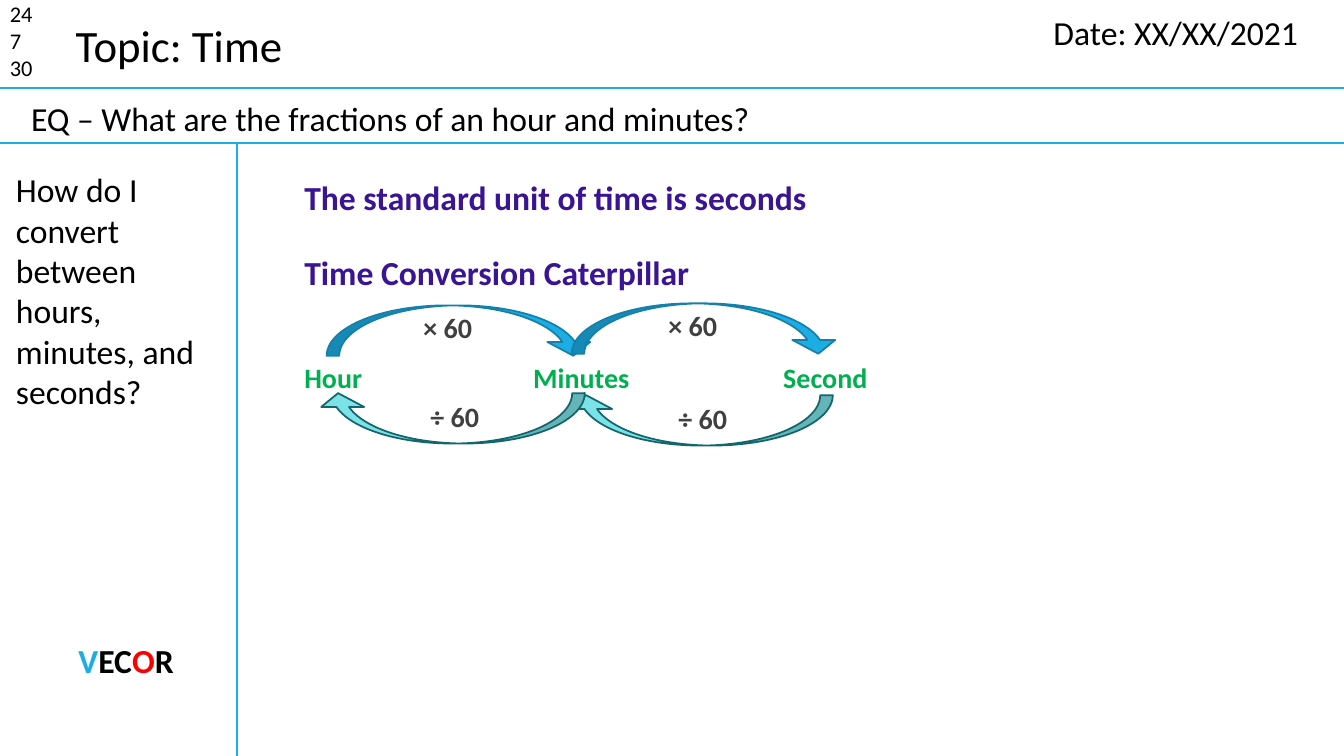
from lxml import etree
from pptx import Presentation
from pptx import util as u
from pptx.dml.color import RGBColor
from pptx.enum import shapes, text
from pptx.oxml.ns import qn

COLORS = {"black": "000000", "blue": "1CADE4", "blue_edge": "1580A9", "teal": "7DE2E7",
          "teal_edge": "13676C", "red": "FF0000", "purple": "3A1493", "green": "00B050",
          "grey": "404040"}
WIDTH, HEIGHT = 13.33, 7.5
HEADER_BOTTOM, QUESTION_BOTTOM, MARGIN_RIGHT = 0.87, 1.42, 2.35
ARROW_WIDTH, ARROW_HEIGHT = 2.66, 0.5


def color(name):
    """Return the named colour."""
    return RGBColor.from_string(COLORS[name])


def set_values(target, **values):
    """Set each given attribute on the target."""
    for name, value in values.items():
        setattr(target, name, value)


def write(shape, paragraphs, size, wrap=True, align=text.PP_ALIGN.LEFT, bold=False):
    """Fill a shape with paragraphs, each a list of (text, colour) runs."""
    frame = shape.text_frame
    set_values(frame, word_wrap=wrap, auto_size=text.MSO_AUTO_SIZE.SHAPE_TO_FIT_TEXT,
               vertical_anchor=text.MSO_ANCHOR.TOP)
    for index, runs in enumerate(paragraphs):
        paragraph = frame.add_paragraph() if index else frame.paragraphs[0]
        paragraph.alignment = align
        for content, shade in runs:
            run = paragraph.add_run()
            run.text = content
            set_values(run.font, name="Calibri", size=u.Pt(size), bold=bold)
            run.font.color.rgb = color(shade)
    return frame.paragraphs


def add_text(parent, box, paragraphs, size, **style):
    """Add a text box and return its paragraphs."""
    shape = parent.shapes.add_textbox(*(u.Inches(length) for length in box))
    return write(shape, paragraphs, size, **style)


def add_rule(slide, *ends):
    """Draw a blue ruling line between two points."""
    line = slide.shapes.add_connector(shapes.MSO_CONNECTOR.STRAIGHT,
                                      *(u.Inches(end) for end in ends))
    line.line.color.rgb = color("blue")
    line.line.width = u.Pt(1.5)
    etree.SubElement(line._element.spPr, qn("a:effectLst"))


def add_rules(slide):
    """Divide the page into header, question, margin and notes."""
    for height in (HEADER_BOTTOM, QUESTION_BOTTOM):
        add_rule(slide, 0, height, WIDTH, height)
    add_rule(slide, MARGIN_RIGHT, QUESTION_BOTTOM, MARGIN_RIGHT, HEIGHT)


def add_header(slide):
    """Place the numbers, topic, date and essential question."""
    title = slide.shapes.title
    set_values(title, left=u.Inches(0.65), top=u.Inches(0.13),
               width=u.Inches(2.27), height=u.Inches(0.64))
    write(title, [[("Topic: Time", "black")]], 32, wrap=False)
    numbers = [[(number, "black")] for number in ("24", "7", "30")]
    add_text(slide, (0, -0.05, 0.63, 0.91), numbers, 16)
    add_text(slide, (10.35, 0.07, 2.64, 0.5), [[("Date: XX/XX/2021", "black")]], 24)
    question = "EQ – What are the fractions of an hour and minutes?"
    add_text(slide, (0.21, HEADER_BOTTOM + 0.05, 8.52, 0.5), [[(question, "black")]], 24)


def add_margin(slide):
    """Place the guiding question and the strategy label in the left column."""
    question = "How do I convert between hours, minutes, and seconds?"
    add_text(slide, (0.06, QUESTION_BOTTOM + 0.21, 2.09, 2.52), [[(question, "black")]], 24)
    letters = [("V", "blue"), ("EC", "black"), ("O", "red"), ("R", "black")]
    add_text(slide, (0.14, 6.3, 2.22, 0.5), [letters], 24,
             align=text.PP_ALIGN.CENTER, bold=True)


def add_notes_column(slide, left, top):
    """Write the headings and the tabbed row of time units."""
    lines = [[("The standard unit of time is seconds", "purple")],
             [("Time Conversion Caterpillar", "purple")],
             [("Hour\tMinutes\tSecond", "green")]]
    heading, subheading, units = add_text(slide, (left, top, 8.33, 2.2), lines, 24, bold=True)
    subheading.space_before = u.Pt(24.4)
    units.space_before = u.Pt(48.8)
    units.runs[0].font.size = u.Pt(20)
    tabs = etree.SubElement(units._p.get_or_add_pPr(), qn("a:tabLst"))
    for position in (2.27, 4.75):
        etree.SubElement(tabs, qn("a:tab"), pos=str(u.Inches(position)), algn="l")


def add_conversion(slide, left, top, label, fill, rotation, label_left, label_top):
    """Group a curved arrow with its conversion factor."""
    group = slide.shapes.add_group_shape()
    arrow = group.shapes.add_shape(shapes.MSO_SHAPE.CURVED_DOWN_ARROW, u.Inches(left),
                                   u.Inches(top), u.Inches(ARROW_WIDTH), u.Inches(ARROW_HEIGHT))
    arrow.rotation = rotation
    arrow.shadow.inherit = False
    for index, value in enumerate((0.25, 0.851, 0.274)):
        arrow.adjustments[index] = value
    arrow.fill.solid()
    arrow.fill.fore_color.rgb = color(fill)
    arrow.line.color.rgb = color(fill + "_edge")
    arrow.line.width = u.Pt(1.25)
    add_text(group, (left + label_left, top + label_top, 0.9, 0.44),
             [[(label, "grey")]], 20, bold=True)


def add_caterpillar(slide):
    """Join the time units with multiplying and dividing arrows."""
    multiply = ("× 60", "blue", 0, 0.86, 0)
    divide = ("÷ 60", "teal", 180, 1.03, 0.01)
    for left, top, style in ((3.24, 3.03, multiply), (5.67, 3.01, multiply),
                             (5.6, 3.92, divide), (3.14, 3.9, divide)):
        add_conversion(slide, left, top, *style)


def main():
    """Build and save the notes slide."""
    presentation = Presentation()
    set_values(presentation, slide_width=u.Inches(WIDTH), slide_height=u.Inches(HEIGHT))
    slide = presentation.slides.add_slide(presentation.slide_layouts[5])
    add_rules(slide)
    add_header(slide)
    add_margin(slide)
    add_notes_column(slide, 2.92, 1.71)
    add_caterpillar(slide)
    presentation.save("out.pptx")


if __name__ == "__main__":
    main()
